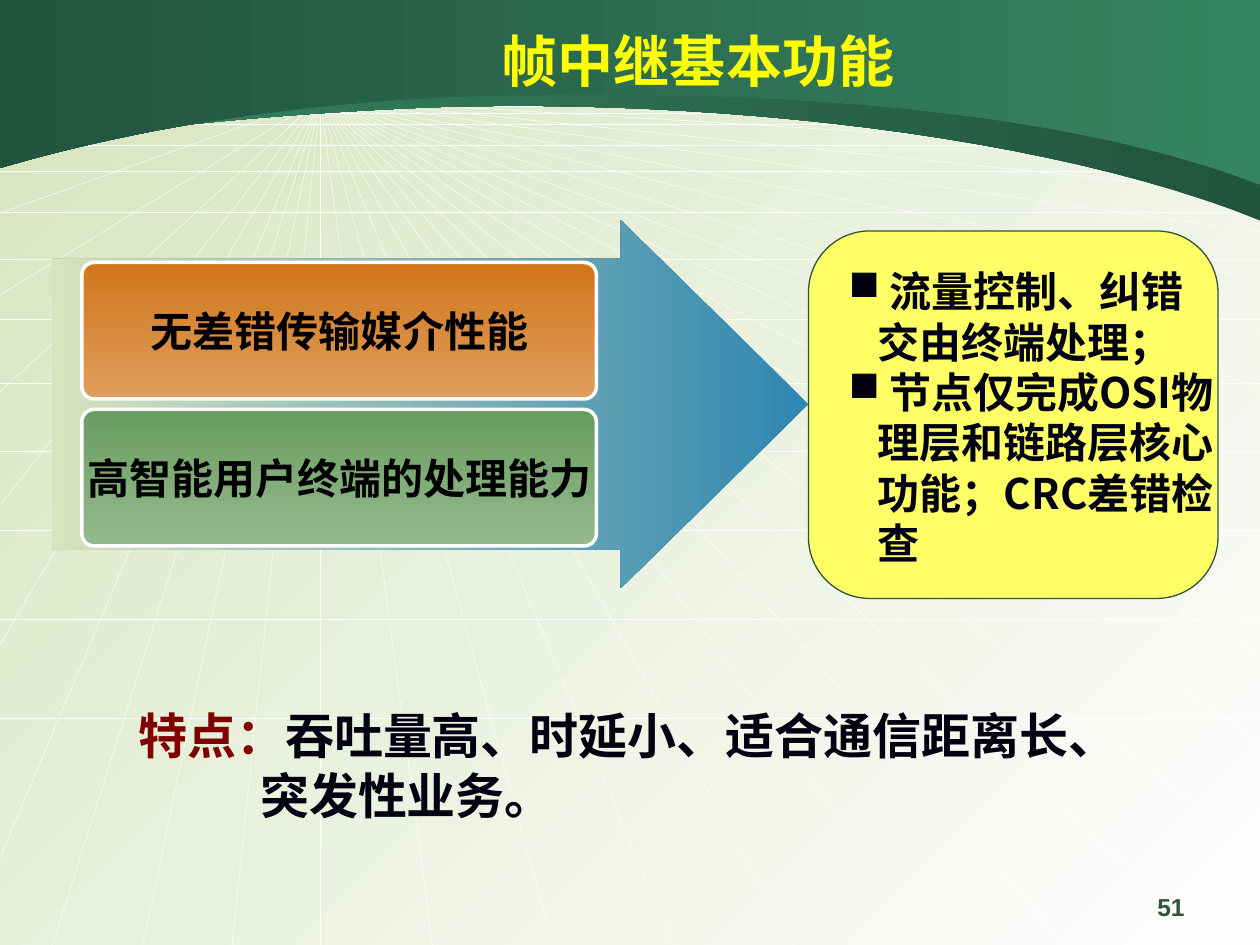
from dataclasses import dataclass
from lxml.etree import SubElement
from pptx import Presentation
from pptx.dml.color import RGBColor
from pptx.enum.shapes import MSO_CONNECTOR, MSO_SHAPE
from pptx.enum.text import MSO_ANCHOR, PP_ALIGN
from pptx.oxml.ns import qn
from pptx.util import Emu, Inches, Pt


@dataclass(frozen=True)
class Theme:
    white: str = "FFFFFF"
    black: str = "000000"
    ink: str = "000010"
    yellow: str = "FFFF00"
    panel: str = "FFFF66"
    maroon: str = "800000"
    moss: str = "335338"
    backdrop: tuple = ("FEFEFE", "D7E4BE")
    dark_band: tuple = ("22533E", "368463")
    light_band: tuple = ("368463", "22533E")
    arrow: tuple = ("2F86B1", "D7E4BE")
    orange: tuple = ("D2761A", "DE9E5E")
    green: tuple = ("699D5F", "95B98E")
    latin: str = "Arial"
    chinese: str = "Noto Sans CJK SC"
    title_size: int = 32
    note_size: int = 28
    body_size: int = 24
    number_size: int = 14


theme = Theme()
COLUMNS, ROWS = 120, 90
deck = Presentation()
deck.slide_width, deck.slide_height = Inches(10), Inches(7.5)
cell = deck.slide_width / COLUMNS
slide = deck.slides.add_slide(deck.slide_layouts[6])
shapes = slide.shapes


def grid(*units):
    return [Emu(round(unit * cell)) for unit in units]


def add_span(para, text, size, color, font):
    span = para.add_run()
    span.text = text
    span.font.size = Pt(size)
    span.font.bold = True
    span.font.name = font
    span.font.color.rgb = RGBColor.from_string(color)
    SubElement(span.font._element, qn("a:ea")).set("typeface", theme.chinese)


gradients = [(slide.background.fill, theme.backdrop, 135)]

hub = (30.5, 9.4)
right_ends = (70.7, 81.6, 62.4, 55.1, 48.7, 42.4, 36.8, 31.3, 26.6, 22.1, 18.5, 14.8, 12)
bottom_ends = (115.2, 101.5, 88.6, 75.6, 64.1, 52.7, 41.2, 30.5, 22.1, 13.6, 5)
left_ends = (61.4, 81.7, 48.1, 37.3, 28.1, 20.3, 13.9, 11.6, 9.4)
levels = (68.4, 59, 50.5, 43, 36.5, 30.4, 24.7, 20.2, 16.3, 13.8, 11.8, 10.8, 10.1)
rays = [(*hub, COLUMNS, row) for row in right_ends]
rays += [(*hub, column, ROWS) for column in bottom_ends]
rays += [(*hub, 0, row) for row in left_ends]
rays += [(0, row, COLUMNS, row) for row in levels]
for ray in rays:
    line = shapes.add_connector(MSO_CONNECTOR.STRAIGHT, *grid(*ray))
    line.line.color.rgb = RGBColor.from_string(theme.white)
    line.line.width = Pt(0.25)
    SubElement(line._element.spPr, qn("a:effectLst"))

STEPS = 24
bands = [
    (theme.dark_band, [
        ((0, 14.3), (1.3, 14.2), (16, 11.2), (41.6, 10.2)),
        ((41.6, 10.2), (67.3, 9.4), (99.7, 12.7), (120, 21)),
    ]),
    (theme.light_band, [
        ((0, 16), (1.3, 15.7), (18.1, 10.2), (43.7, 9.2)),
        ((43.7, 9.2), (69.2, 8.3), (99.7, 9.7), (120, 17.6)),
    ]),
]
for colors, curves in bands:
    edge = []
    for curve in curves:
        for step in range(STEPS + 1):
            t = step / STEPS
            weights = ((1 - t) ** 3, 3 * t * (1 - t) ** 2, 3 * t**2 * (1 - t), t**3)
            edge.append(tuple(
                sum(weight * point[axis] for weight, point in zip(weights, curve))
                for axis in (0, 1)
            ))
    builder = shapes.build_freeform(0, 0, scale=1.0)
    builder.add_line_segments([grid(*point) for point in edge + [(COLUMNS, 0)]])
    band = builder.convert_to_shape()
    band.shadow.inherit = False
    band.line.fill.background()
    gradients.append((band.fill, colors, 180))

title = shapes.add_textbox(*grid(18, 2, 97, 7.4))
title.text_frame.word_wrap = True
title.text_frame.vertical_anchor = MSO_ANCHOR.MIDDLE
para = title.text_frame.paragraphs[0]
para.alignment = PP_ALIGN.CENTER
add_span(para, "帧中继基本功能", theme.title_size, theme.yellow, theme.chinese)

arrow = shapes.add_shape(MSO_SHAPE.RIGHT_ARROW, *grid(5, 21, 72, 35))
arrow.adjustments[0], arrow.adjustments[1] = 0.79, 0.51
arrow.shadow.inherit = False
arrow.line.fill.background()
gradients.append((arrow.fill, theme.arrow, 180))

cards = [("无差错传输媒介性能", theme.orange), ("高智能用户终端的处理能力", theme.green)]
for index, (text, colors) in enumerate(cards):
    card = shapes.add_shape(MSO_SHAPE.ROUNDED_RECTANGLE, *grid(7.8, 25 + 14 * index, 49, 13))
    card.adjustments[0] = 0.09
    card.shadow.inherit = False
    card.line.color.rgb = RGBColor.from_string(theme.white)
    card.line.width = Pt(2)
    gradients.append((card.fill, colors, 270))
    card.text_frame.word_wrap = False
    card.text_frame.vertical_anchor = MSO_ANCHOR.MIDDLE
    para = card.text_frame.paragraphs[0]
    para.alignment = PP_ALIGN.CENTER
    add_span(para, text, theme.body_size, theme.black, theme.latin)

panel = shapes.add_shape(MSO_SHAPE.ROUNDED_RECTANGLE, *grid(77, 22, 39, 35))
panel.shadow.inherit = False
panel.fill.solid()
panel.fill.fore_color.rgb = RGBColor.from_string(theme.panel)
panel.line.color.rgb = RGBColor.from_string(theme.moss)
panel.line.width = Pt(0.75)

duties = shapes.add_shape(MSO_SHAPE.ROUNDED_RECTANGLE, *grid(78.8, 23.4, 39, 31.7))
duties.adjustments[0] = 0.09
duties.shadow.inherit = False
duties.fill.background()
duties.line.fill.background()
note = shapes.add_textbox(*grid(12, 66, 99, 12.5))
for box in (duties, note):
    box.text_frame.word_wrap = True
    box.text_frame.vertical_anchor = MSO_ANCHOR.TOP
    box.text_frame.margin_top = Inches(0.09)

hang = grid(2.8)[0]
duty_texts = (" 流量控制、纠错交由终端处理；", " 节点仅完成OSI物理层和链路层核心功能；CRC差错检查")
for index, text in enumerate(duty_texts):
    para = duties.text_frame.add_paragraph() if index else duties.text_frame.paragraphs[0]
    para.alignment = PP_ALIGN.LEFT
    para.line_spacing = Pt(28.8)
    properties = para._p.get_or_add_pPr()
    properties.set("marL", str(hang))
    properties.set("indent", str(-hang))
    SubElement(SubElement(properties, qn("a:buClr")), qn("a:srgbClr")).set("val", theme.ink)
    SubElement(properties, qn("a:buChar")).set("char", "■")
    add_span(para, text, theme.body_size, theme.ink, theme.chinese)

note_lines = [
    (0, [("特点：", theme.maroon), ("吞吐量高、时延小、适合通信距离长、", theme.ink)]),
    (11.6, [("突发性业务。", theme.ink)]),
]
for index, (indent, spans) in enumerate(note_lines):
    para = note.text_frame.add_paragraph() if index else note.text_frame.paragraphs[0]
    para.line_spacing = Pt(34.3)
    para._p.get_or_add_pPr().set("marL", str(grid(indent)[0]))
    for text, color in spans:
        add_span(para, text, theme.note_size, color, theme.latin)

number = shapes.add_textbox(*grid(86, 84.4, 28, 4.2))
number.text_frame.word_wrap = True
para = number.text_frame.paragraphs[0]
para.alignment = PP_ALIGN.RIGHT
add_span(para, "51", theme.number_size, theme.moss, theme.latin)

for fill, colors, angle in gradients:
    fill.gradient()
    fill.gradient_angle = angle
    for stop, color in zip(fill.gradient_stops, colors):
        stop.color.rgb = RGBColor.from_string(color)

deck.save("out.pptx")
